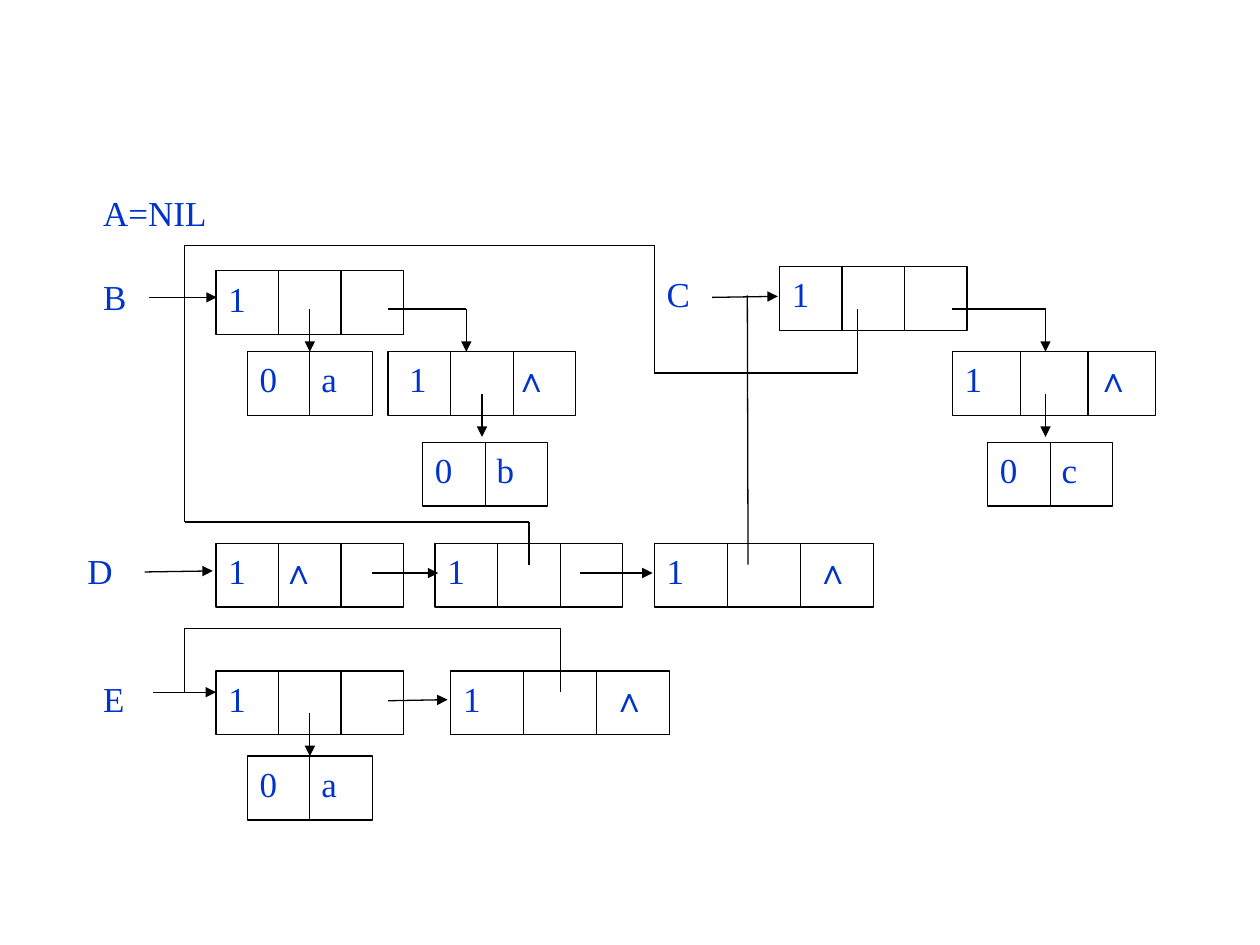
from lxml.etree import SubElement
from pptx import Presentation
from pptx.dml.color import RGBColor
from pptx.enum.shapes import MSO_CONNECTOR, MSO_SHAPE
from pptx.enum.text import MSO_ANCHOR, PP_ALIGN
from pptx.oxml.ns import qn
from pptx.util import Inches, Pt

BLUE = RGBColor(0x00, 0x33, 0xCC)
BLACK = RGBColor(0x00, 0x00, 0x00)
WHITE = RGBColor(0xFF, 0xFF, 0xFF)

deck = Presentation()
deck.slide_width, deck.slide_height = Inches(10), Inches(7.5)
slide = deck.slides.add_slide(deck.slide_layouts[6])

# Grid: all positions below are columns and rows from its top left corner
COL = deck.slide_width / 80.5
ROW = deck.slide_height / 44.4
LEFT, TOP = Inches(0.72), Inches(1.44)
BOX_ROWS = 3


def write(shapes, text, col, row, cols, border=None, tab=None,
          font="Times New Roman", size=20, color=BLUE):
    """Add a white box with left-set text; a tab leads to the last cell."""
    box = shapes.add_shape(MSO_SHAPE.RECTANGLE, int(LEFT + col * COL),
                           int(TOP + row * ROW), int(cols * COL), int(BOX_ROWS * ROW))
    box.shadow.inherit = False
    box.fill.solid()
    box.fill.fore_color.rgb = WHITE
    if border is None:
        box.line.fill.background()
    else:
        box.line.color.rgb = border
        box.line.width = Pt(0.75)
    frame = box.text_frame
    frame.word_wrap = True
    frame.vertical_anchor = MSO_ANCHOR.TOP
    paragraph = frame.paragraphs[0]
    paragraph.alignment = PP_ALIGN.LEFT
    if tab:
        stops = SubElement(paragraph._p.get_or_add_pPr(), qn("a:tabLst"))
        SubElement(stops, qn("a:tab"), pos=str(Inches(tab)), algn="l")
    head, nil, _ = text.partition("∧")
    for part, face in ((head, font), (nil, "Arial")):
        if part:
            run = paragraph.add_run()
            run.text = part
            run.font.name = face
            run.font.size = Pt(size)
            run.font.color.rgb = color


def draw_path(shapes, points, arrow=False):
    """Join grid points with straight lines, with an arrowhead at the end."""
    places = [(int(LEFT + col * COL), int(TOP + row * ROW)) for col, row in points]
    for start, end in zip(places, places[1:]):
        line = shapes.add_connector(MSO_CONNECTOR.STRAIGHT, *start, *end)
        line.line.color.rgb = BLACK
        line.line.width = Pt(0.75)
        SubElement(line._element.spPr, qn("a:effectLst"))
    if arrow:
        SubElement(line.line._get_or_add_ln(), qn("a:tailEnd"), type="triangle")


# List names: text, column, row, columns wide
for name, col, row, cols in [
    ("A=NIL", 0, 0.2, 11), ("B", 0, 4.15, 4), ("C", 36, 4, 4),
    ("D", -1, 17, 4), ("E", 0, 23, 4),
]:
    write(slide.shapes, name, col, row, cols)

# Nodes: text, column, row, columns wide, cells, tab position in inches
nodes = [
    # B
    ("1", 8, 4.2, 12, 3, None),
    ("0\ta", 10, 8, 8, 2, 0.49),
    (" 1\t∧", 19, 8, 12, 3, 0.9),
    ("0\tb", 21.2, 12.25, 8, 2, 0.49),
    # C
    ("1", 44, 4, 12, 3, None),
    ("1\t∧", 55.05, 8, 13, 3, 1.04),
    ("0\tc", 57.3, 12.25, 8, 2, 0.49),
    # D
    ("1\t∧", 8, 17, 12, 3, 0.42),
    ("1", 22, 17, 12, 3, None),
    ("1\t∧", 36, 17, 14, 3, 1.18),
    # E
    ("1", 8, 23, 12, 3, None),
    ("1\t∧", 23, 23, 14, 3, 1.18),
    ("0\ta", 10, 27, 8, 2, 0.49),
]
for text, col, row, cols, cells, tab in nodes:
    node = slide.shapes.add_group_shape().shapes
    write(node, text, col, row, cols, border=BLACK, tab=tab)
    for cell in range(1, cells):
        divider = col + cols * cell / cells
        draw_path(node, [(divider, row), (divider, row + BOX_ROWS)])

# Pointers that end in an arrowhead
pointers = [
    # B
    [(3.7, 5.45), (8.05, 5.45)],
    [(14, 6), (14, 8)],
    [(19, 6), (24, 6), (24, 8)],
    [(25, 10), (25, 12)],
    # C
    [(39.7, 5.45), (43.9, 5.4)],
    [(55, 6), (61, 6), (61, 8)],
    [(61, 10), (61, 12)],
    # D
    [(3.45, 18.35), (7.8, 18.3)],
    [(18, 18.4), (22.2, 18.4)],
    [(31.25, 18.4), (35.9, 18.4)],
    # E
    [(4, 24), (8, 24)],
    [(19, 24.4), (22.8, 24.35)],
    [(14, 25), (14, 27)],
]
for points in pointers:
    draw_path(slide.shapes, points, arrow=True)

# Links that run back to the pointer of another list
links = [
    [(49, 6), (49, 9), (36, 9), (36, 3), (6, 3)],     # C to B
    [(28, 18), (28, 16), (6, 16), (6, 3)],            # D to B
    [(42, 18), (41.95, 5.35)],                        # D to C
    [(30, 24), (30, 21), (6, 21), (6, 24)],           # E to itself
]
for points in links:
    draw_path(slide.shapes, points)

deck.save("out.pptx")
